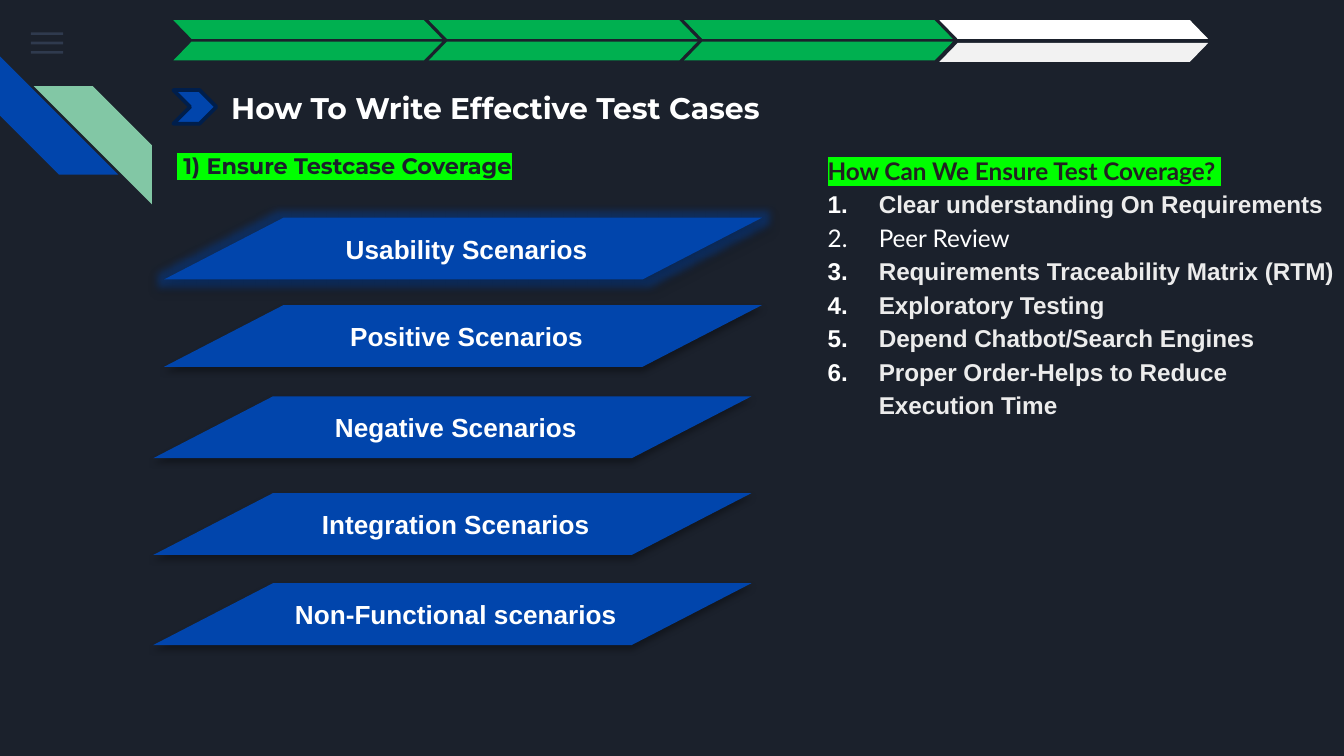
from dataclasses import dataclass

from lxml.etree import SubElement
from pptx import Presentation
from pptx.dml.color import RGBColor
from pptx.enum.shapes import MSO_SHAPE as Shape
from pptx.enum.text import MSO_ANCHOR as Anchor, PP_ALIGN as Align
from pptx.oxml.ns import qn
from pptx.util import Inches, Pt


@dataclass(frozen=True)
class Theme:
    night: str = "1B212C"
    blue: str = "0145AC"
    navy: str = "001E4B"
    mint: str = "82C7A5"
    slate: str = "55688B"
    green: str = "00B050"
    white: str = "FFFFFF"
    off_white: str = "F2F2F2"
    item: str = "ECECEC"
    ink: str = "222222"
    marker: str = "00FF00"
    heading: int = 16
    label: int = 14
    body: int = 13
    topic: int = 12


T = Theme()
SCENARIOS = [  # label, left, top
    (" Usability Scenarios", 1.22, 1.62),
    (" Positive Scenarios", 1.22, 2.27),
    (" Negative Scenarios", 1.14, 2.95),
    (" Integration Scenarios", 1.14, 3.67),
    (" Non-Functional scenarios", 1.14, 4.34),
]
COVERAGE = [
    "Clear understanding On Requirements",
    "Peer Review",
    "Requirements Traceability Matrix (RTM)",
    "Exploratory Testing",
    "Depend Chatbot/Search Engines",
    "Proper Order-Helps to Reduce Execution Time",
]


def add_color(parent, color, alpha=None):
    clr = SubElement(parent, qn("a:srgbClr"), val=color)
    if alpha is not None:
        SubElement(clr, qn("a:alpha"), val=str(alpha * 1000))


def add_shape(s, kind, x, y, w, h, fill, flip=False, adj=None):
    sp = s.shapes.add_shape(kind, Inches(x), Inches(y), Inches(w), Inches(h))
    sp.shadow.inherit = False
    sp.fill.solid()
    sp.fill.fore_color.rgb = RGBColor.from_string(fill)
    sp.line.fill.background()
    if adj is not None:
        sp.adjustments[0] = adj
    if flip:
        sp.element.spPr.find(qn("a:xfrm")).set("flipH", "1")
    return sp


def add_text_box(s, x, y, w, h, margin=0.1):
    tf = s.shapes.add_textbox(Inches(x), Inches(y), Inches(w), Inches(h)).text_frame
    tf.word_wrap = True
    tf.margin_top = tf.margin_bottom = Inches(margin)
    return tf


def add_run(p, text, size, font, color, bold=True, highlight=None):
    r = p.add_run()
    r.text = text
    r.font.size = Pt(size)
    r.font.bold = bold
    r.font.color.rgb = RGBColor.from_string(color)
    if highlight:
        add_color(SubElement(r.font._element, qn("a:highlight")), highlight)
    r.font.name = font


def indent(p, left, first):
    pPr = p._p.get_or_add_pPr()
    pPr.set("marL", str(Inches(left)))
    pPr.set("indent", str(Inches(first)))
    return pPr


def menu_icon(s, x, y):
    for row in range(3):
        bar = add_shape(s, Shape.RECTANGLE, x, y + row * 0.07, 0.24, 0.02, T.slate)
        clr = bar.element.spPr.find(qn("a:solidFill"))[0]
        SubElement(clr, qn("a:alpha"), val="36000")


def corner_stripes(s, x, y, size):
    stripe = Shape.DIAGONAL_STRIPE
    add_shape(s, stripe, x, y, size, size, T.blue, adj=0.5).rotation = 270
    add_shape(s, stripe, x + 0.25, y + 0.22, size, size, T.mint, flip=True, adj=0.5)


def progress_bar(s, x, y, step):
    """Four arrows, each made of two mirrored halves."""
    halves = [(T.green, T.green, 0.16)] * 3 + [(T.white, T.off_white, 0.17)]
    for i, (upper, lower, drop) in enumerate(halves):
        for dy, fill, flip in ((0, upper, True), (drop, lower, False)):
            add_shape(s, Shape.PARALLELOGRAM, x + i * step, y + dy, 2, 0.14,
                      fill, flip, adj=0.97)


def heading(s, x, y):
    tf = add_text_box(s, x + 0.27, y, 5, 0.37, margin=0.05)
    add_run(tf.paragraphs[0], " How To Write Effective Test Cases",
            T.heading, "Montserrat", T.white)
    chevron = add_shape(s, Shape.CHEVRON, x, y + 0.05, 0.32, 0.25, T.blue)
    chevron.line.color.rgb = RGBColor.from_string(T.navy)
    chevron.line.width = Pt(2)


def topic(s, x, y, w, h):
    tf = add_text_box(s, x, y, w, h)
    add_run(tf.paragraphs[0], " 1) Ensure Testcase Coverage",
            T.topic, "Montserrat", T.night, highlight=T.marker)


def coverage_list(s, x, y, w, h):
    tf = add_text_box(s, x, y, w, h)
    p = tf.paragraphs[0]
    p.line_spacing = 1.15
    indent(p, 0.16, 0)
    add_run(p, "How Can We Ensure Test Coverage? ",
            T.body, "Lato", T.ink, highlight=T.marker)
    for item in COVERAGE:
        p = tf.add_paragraph()
        p.line_spacing = 1.15
        pPr = indent(p, 0.54, -0.38)
        add_color(SubElement(pPr, qn("a:buClr")), T.white)
        SubElement(pPr, qn("a:buAutoNum"), type="arabicPeriod")
        if item == "Peer Review":
            add_run(p, item, T.body, "Lato", T.white, bold=False)
        else:
            add_run(p, item, T.body, "Arial", T.item)


def scenario(s, label, x, y, glow=False):
    sp = add_shape(s, Shape.FLOWCHART_DATA, x, y, 4.45, 0.46, T.blue)
    effects = sp.element.spPr.find(qn("a:effectLst"))
    if glow:
        add_color(SubElement(effects, qn("a:glow"), rad=str(Pt(8))), T.blue, 40)
    shadow = SubElement(effects, qn("a:outerShdw"), blurRad=str(Pt(3.5)),
                        dist=str(Pt(2.2)), dir="5400000", rotWithShape="0")
    add_color(shadow, "000000", 32)
    tf = sp.text_frame
    tf.word_wrap = True
    tf.vertical_anchor = Anchor.MIDDLE
    p = tf.paragraphs[0]
    p.alignment = Align.CENTER
    add_run(p, label, T.label, "Arial", T.white)


def main():
    prs = Presentation()
    prs.slide_width, prs.slide_height = Inches(10), Inches(10 * 9 / 16)
    s = prs.slides.add_slide(prs.slide_layouts[6])
    s.background.fill.solid()
    s.background.fill.fore_color.rgb = RGBColor.from_string(T.night)

    menu_icon(s, 0.23, 0.24)
    corner_stripes(s, 0, 0.42, 0.88)
    progress_bar(s, 1.29, 0.15, step=1.9)
    heading(s, 1.29, 0.62)
    topic(s, 1.22, 1.03, 7.16, 1.63)
    coverage_list(s, 5.9, 1.03, 4.15, 2.05)
    for i, (label, x, y) in enumerate(SCENARIOS):
        scenario(s, label, x, y, glow=i == 0)
    prs.save("out.pptx")


if __name__ == "__main__":
    main()
